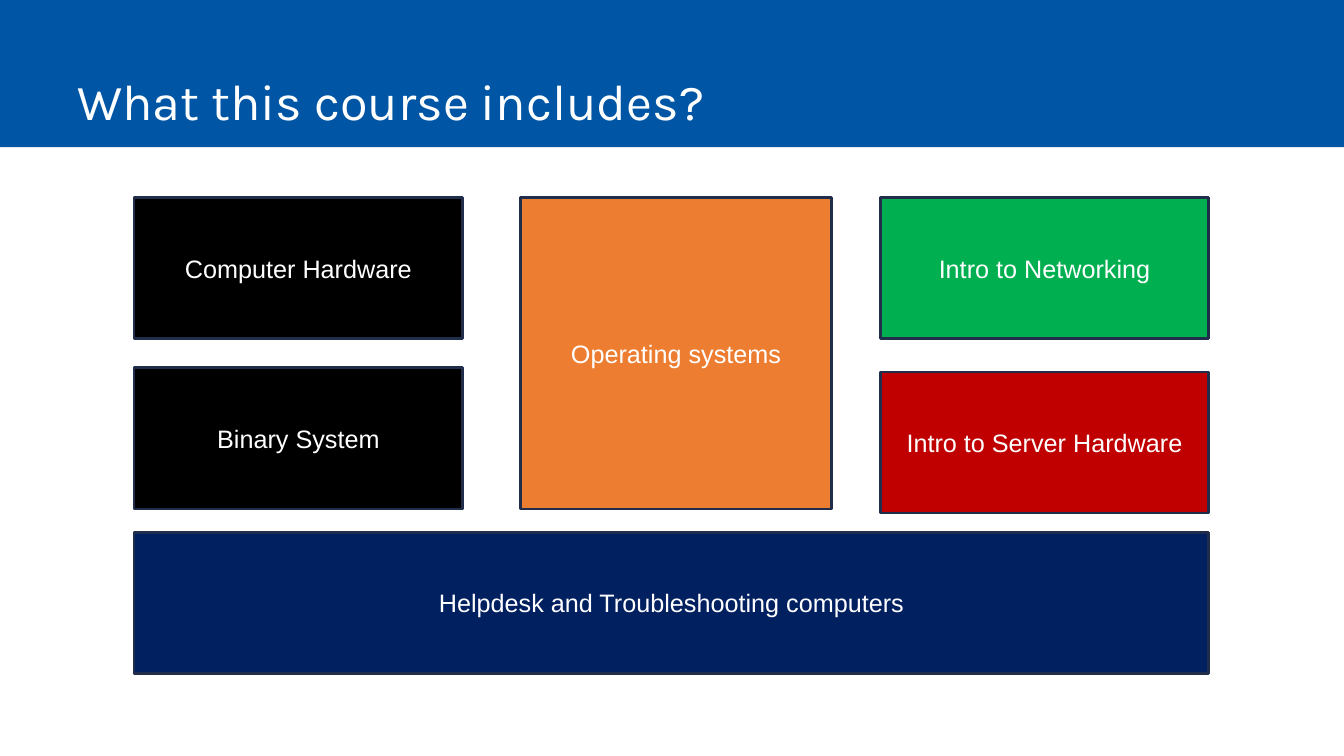
from dataclasses import dataclass

from pptx import Presentation
from pptx.dml.color import RGBColor
from pptx.enum.shapes import MSO_SHAPE
from pptx.enum.text import MSO_ANCHOR, PP_ALIGN
from pptx.util import Inches, Pt

RECTANGLE = MSO_SHAPE.RECTANGLE
MIDDLE, BOTTOM = MSO_ANCHOR.MIDDLE, MSO_ANCHOR.BOTTOM
LEFT, CENTER = PP_ALIGN.LEFT, PP_ALIGN.CENTER


@dataclass(frozen=True)
class Theme:
    banner: str = "0055A4"
    text: str = "FFFFFF"
    outline: str = "202D4B"
    black: str = "000000"
    navy: str = "002060"
    orange: str = "ED7D31"
    green: str = "00B050"
    red: str = "C00000"
    title_font: str = "Karla"
    body_font: str = "Arial"
    title_size: int = 36
    body_size: int = 18
    outline_width: int = 2


THEME = Theme()
SLIDE_W, SLIDE_H = 13.33, 7.5
COL_LEFT, COL_MIDDLE, COL_RIGHT = 1.33, 5.16, 8.73
TOP, BASE = 1.96, 5.28
MODULE_W, MODULE_H, SYSTEMS_SIDE = 3.26, 1.4, 3.09
BASE_W = COL_RIGHT + MODULE_W - COL_LEFT

MODULES = [
    ("Computer Hardware", COL_LEFT, TOP, MODULE_W, MODULE_H, THEME.black),
    ("Binary System", COL_LEFT, 3.65, MODULE_W, MODULE_H, THEME.black),
    ("Helpdesk and Troubleshooting computers", COL_LEFT, BASE, BASE_W, MODULE_H, THEME.navy),
    ("Operating systems", COL_MIDDLE, TOP, SYSTEMS_SIDE, SYSTEMS_SIDE, THEME.orange),
    ("Intro to Networking", COL_RIGHT, TOP, MODULE_W, MODULE_H, THEME.green),
    ("Intro to Server Hardware", COL_RIGHT, 3.69, MODULE_W, MODULE_H, THEME.red),
]


def rgb(value):
    return RGBColor.from_string(value)


def set_text(sp, text, font, size, anchor, align):
    tf = sp.text_frame
    tf.word_wrap = True
    tf.vertical_anchor = anchor
    p = tf.paragraphs[0]
    p.alignment = align
    r = p.add_run()
    r.text = text
    for name, value in {"name": font, "size": Pt(size), "bold": False}.items():
        setattr(r.font, name, value)
    r.font.color.rgb = rgb(THEME.text)


def add_rect(s, x, y, w, h, fill):
    sp = s.shapes.add_shape(RECTANGLE, Inches(x), Inches(y), Inches(w), Inches(h))
    sp.shadow.inherit = False
    sp.fill.solid()
    sp.fill.fore_color.rgb = rgb(fill)
    sp.line.fill.background()
    return sp


def add_title(s, text):
    add_rect(s, 0, 0, SLIDE_W, 1.46, THEME.banner)
    sp = s.shapes.add_textbox(Inches(0.67), Inches(0), Inches(11.75), Inches(1.34))
    set_text(sp, text, THEME.title_font, THEME.title_size, BOTTOM, LEFT)


def add_module(s, text, x, y, w, h, fill):
    sp = add_rect(s, x, y, w, h, fill)
    sp.line.color.rgb = rgb(THEME.outline)
    sp.line.width = Pt(THEME.outline_width)
    set_text(sp, text, THEME.body_font, THEME.body_size, MIDDLE, CENTER)


def main():
    prs = Presentation()
    prs.slide_width, prs.slide_height = Inches(SLIDE_W), Inches(SLIDE_H)
    s = prs.slides.add_slide(prs.slide_layouts[6])
    add_title(s, "What this course includes?")
    for module in MODULES:
        add_module(s, *module)
    prs.save("out.pptx")


if __name__ == "__main__":
    main()
